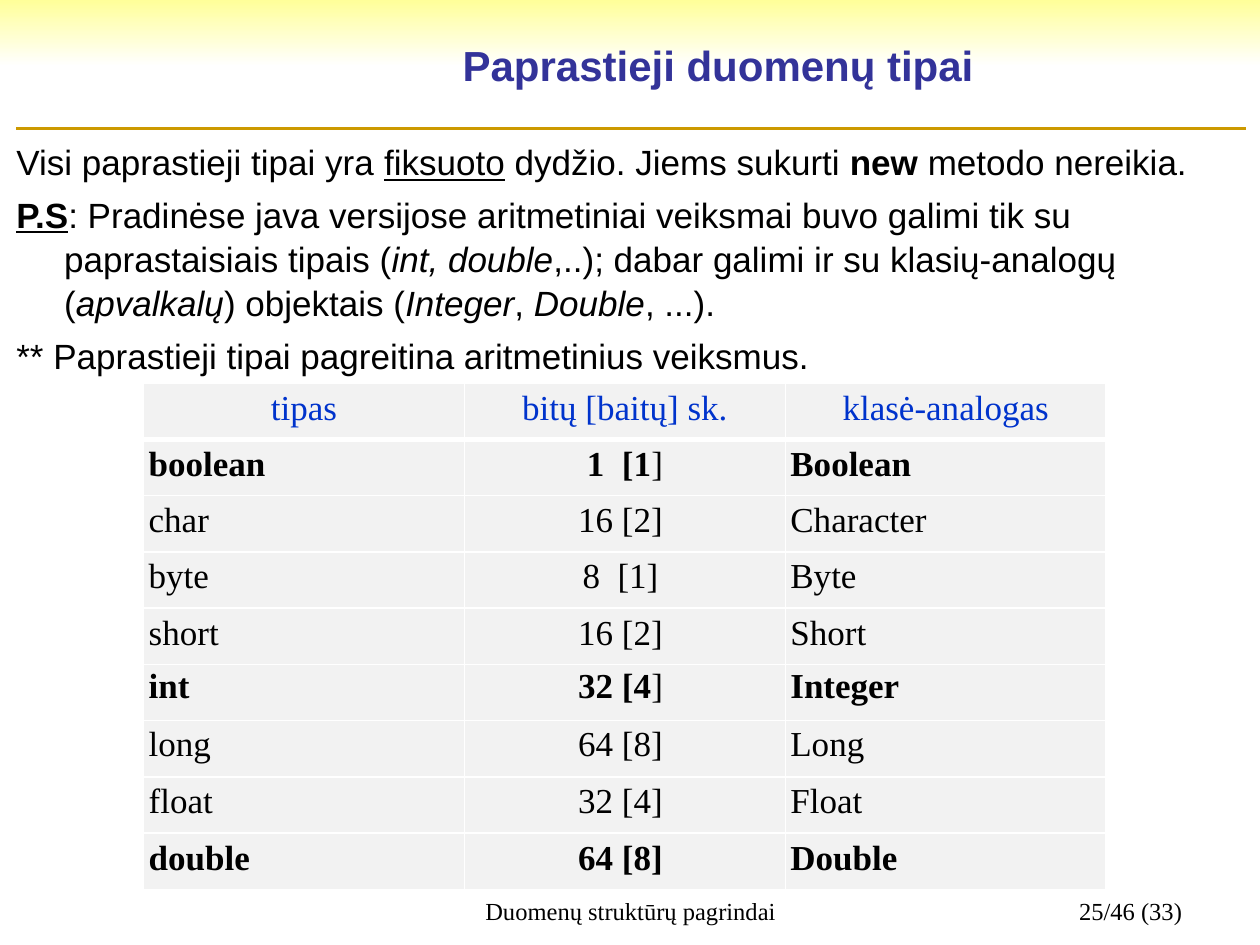
from lxml import etree
from pptx import Presentation
from pptx.dml.color import RGBColor
from pptx.enum.shapes import MSO_CONNECTOR
from pptx.enum.text import MSO_ANCHOR, PP_ALIGN
from pptx.oxml.ns import qn
from pptx.util import Inches, Pt

LEFT, CENTER, RIGHT = PP_ALIGN.LEFT, PP_ALIGN.CENTER, PP_ALIGN.RIGHT
TOP, MIDDLE = MSO_ANCHOR.TOP, MSO_ANCHOR.MIDDLE

THEME = {
    "glow": "FFFF99", "paper": "FFFFFF", "title": "333399", "ink": "000000",
    "rule": "CC9900", "header": "0033CC", "cell": "F2F2F2",
    "sans": "Arial", "serif": "Times New Roman",
    "title_size": 24, "body_size": 20, "footer_size": 14,
}


def write(paragraph, runs, font, size, colour, indent=None, **formats):
    """Fill a paragraph with (text, flags) runs; flags are b, i and u."""
    for name, value in formats.items():
        setattr(paragraph, name, value)
    if indent:
        props = paragraph._p.get_or_add_pPr()
        props.set("marL", str(Inches(indent[0])))
        props.set("indent", str(Inches(indent[1])))
    for text, flags in runs:
        run = paragraph.add_run()
        run.text = text
        style = {"name": font, "size": Pt(size), "bold": "b" in flags,
                 "italic": "i" in flags, "underline": "u" in flags}
        for name, value in style.items():
            setattr(run.font, name, value)
        run.font.color.rgb = RGBColor.from_string(colour)


def add_frame(box, margins, anchor=TOP):
    """Add a wrapping text box and return its text frame."""
    frame = slide.shapes.add_textbox(*map(Inches, box)).text_frame
    settings = {"word_wrap": True, "vertical_anchor": anchor,
                "margin_left": Inches(margins[0]), "margin_right": Inches(margins[0]),
                "margin_top": Inches(margins[1]), "margin_bottom": Inches(margins[1])}
    for name, value in settings.items():
        setattr(frame, name, value)
    return frame


deck = Presentation()
deck.slide_width, deck.slide_height = Inches(10), Inches(7.5)
slide = deck.slides.add_slide(deck.slide_layouts[6])

# Background
backdrop = slide.background.fill
backdrop.gradient()
backdrop.gradient_angle = 270
for stop, colour, position in zip(backdrop.gradient_stops,
                                  (THEME["glow"], THEME["paper"]), (0, 0.07)):
    stop.color.rgb = RGBColor.from_string(colour)
    stop.position = position

# Title and rule
title = add_frame((2.48, 0.21, 6.44, 0.61), (0.1, 0.05), MIDDLE)
write(title.paragraphs[0], [("Paprastieji duomenų tipai", "b")], THEME["sans"],
      THEME["title_size"], THEME["title"], alignment=CENTER)

rule = slide.shapes.add_connector(MSO_CONNECTOR.STRAIGHT, Inches(0.13), Inches(1.02),
                                  Inches(9.89), Inches(1.02))
rule.line.color.rgb = RGBColor.from_string(THEME["rule"])
rule.line.width = Pt(1.5)
etree.SubElement(rule._element.spPr, qn("a:effectLst"))

# Body
statements = [
    [("Visi paprastieji tipai yra ", ""), ("fiksuoto", "u"),
     (" dydžio. Jiems sukurti ", ""), ("new", "b"), (" metodo nereikia.", "")],
    [("P.S", "bu"),
     (": Pradinėse java versijose aritmetiniai veiksmai buvo galimi tik su "
      "paprastaisiais tipais (", ""),
     ("int, double", "i"), (",..); dabar galimi ir su klasių-analogų (", ""),
     ("apvalkalų", "i"), (") objektais (", ""), ("Integer", "i"), (", ", ""),
     ("Double", "i"), (", ...). ", "")],
    [("** Paprastieji tipai pagreitina aritmetinius veiksmus.", "")],
]
body = add_frame((0.13, 1.1, 9.76, 5.82), (0, 0))
for index, runs in enumerate(statements):
    paragraph = body.add_paragraph() if index else body.paragraphs[0]
    write(paragraph, runs, THEME["sans"], THEME["body_size"], THEME["ink"],
          indent=(0.38, -0.38), space_before=Pt(5), line_spacing=1.05)

# Footer
for text, box, alignment in (
        ("Duomenų struktūrų pagrindai", (3.42, 7.06, 3.15, 0.27), CENTER),
        ("25/46 (33)", (7.17, 7.06, 2.31, 0.27), RIGHT)):
    footer = add_frame(box, (0.1, 0.05))
    write(footer.paragraphs[0], [(text, "")], THEME["serif"], THEME["footer_size"],
          THEME["ink"], indent=(0.24, -0.22), alignment=alignment)

# Table of types: each cell is a list of runs
type_rows = [
    [[("tipas", "")], [("bitų [baitų] sk.", "")], [("klasė-analogas", "")]],
    [[("boolean", "b")], [("1  [1", "b"), ("]", "")], [("Boolean", "b")]],
    [[("char", "")], [("16 [2] ", "")], [("Character", "")]],
    [[("byte", "")], [("8  [1] ", "")], [("Byte", "")]],
    [[("short", "")], [("16 [2] ", "")], [("Short", "")]],
    [[("int", "b")], [("32 [4", "b"), ("] ", "")], [("Integer", "b")]],
    [[("long", "")], [("64 [8] ", "")], [("Long", "")]],
    [[("float", "")], [("32 [4] ", "")], [("Float", "")]],
    [[("double", "b")], [("64 [8] ", "b")], [("Double", "b")]],
]
ROW_SPACING = {5: (0.04, 0.95), 6: (0.05, 0.95)}
types = slide.shapes.add_table(len(type_rows), 3, Inches(1.14), Inches(3.04),
                               Inches(7.64), Inches(4.02)).table
types.first_row = types.horz_banding = False

for r, row in enumerate(type_rows):
    top_margin, line_spacing = ROW_SPACING.get(r, (0.11, 0.75))
    for c, runs in enumerate(row):
        cell = types.cell(r, c)
        margins = {"margin_left": 0.04, "margin_top": top_margin,
                   "margin_right": 0.04, "margin_bottom": 0.04}
        for name, value in margins.items():
            setattr(cell, name, Inches(value))
        write(cell.text_frame.paragraphs[0], runs, THEME["serif"], THEME["body_size"],
              THEME["ink"] if r else THEME["header"],
              alignment=CENTER if r == 0 or c == 1 else LEFT,
              line_spacing=line_spacing, space_before=Pt(0 if r else 5))
        props = cell._tc.get_or_add_tcPr()
        for side in ("lnL", "lnR", "lnT", "lnB"):
            heavy = (r, side) in ((0, "lnB"), (1, "lnT"))
            border = etree.SubElement(props, qn("a:" + side), w=str(Pt(3 if heavy else 1)))
            paint = etree.SubElement(border, qn("a:solidFill"))
            etree.SubElement(paint, qn("a:srgbClr"), val=THEME["paper"])
        cell.fill.solid()
        cell.fill.fore_color.rgb = RGBColor.from_string(THEME["cell"])

deck.save("out.pptx")
